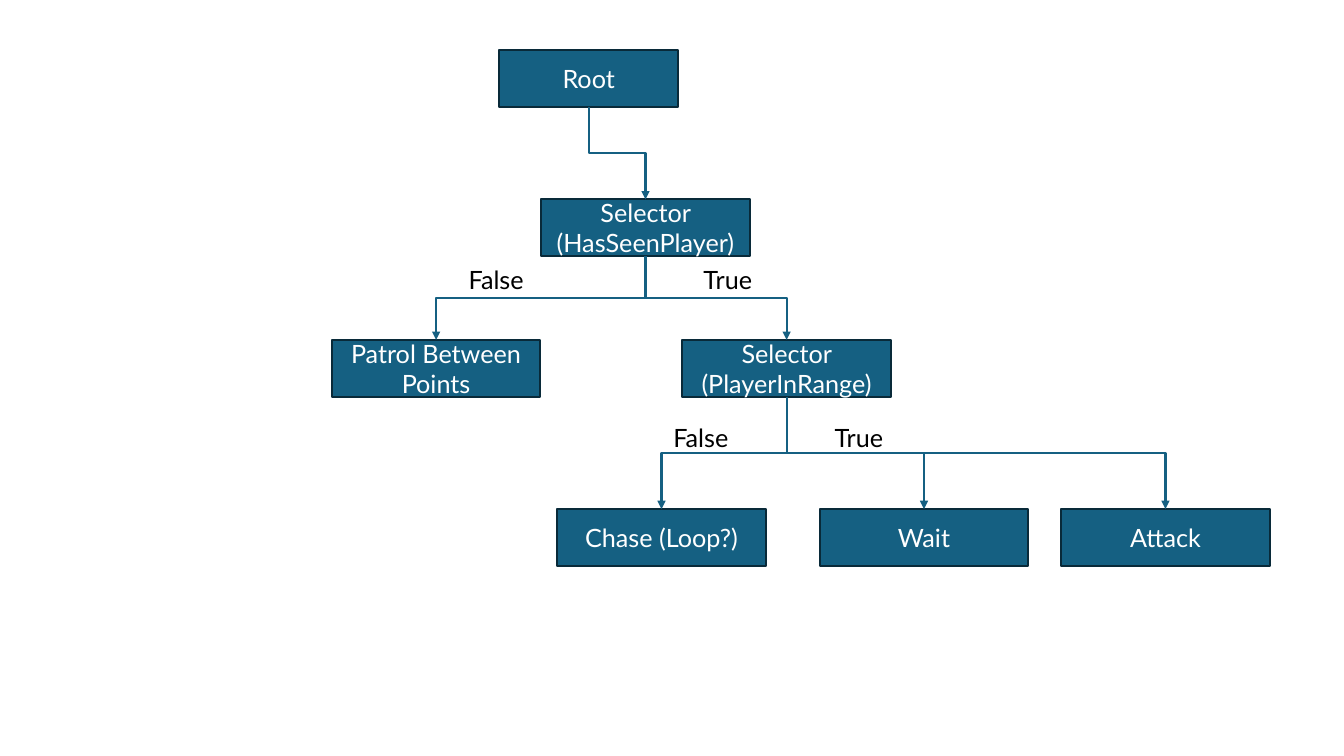
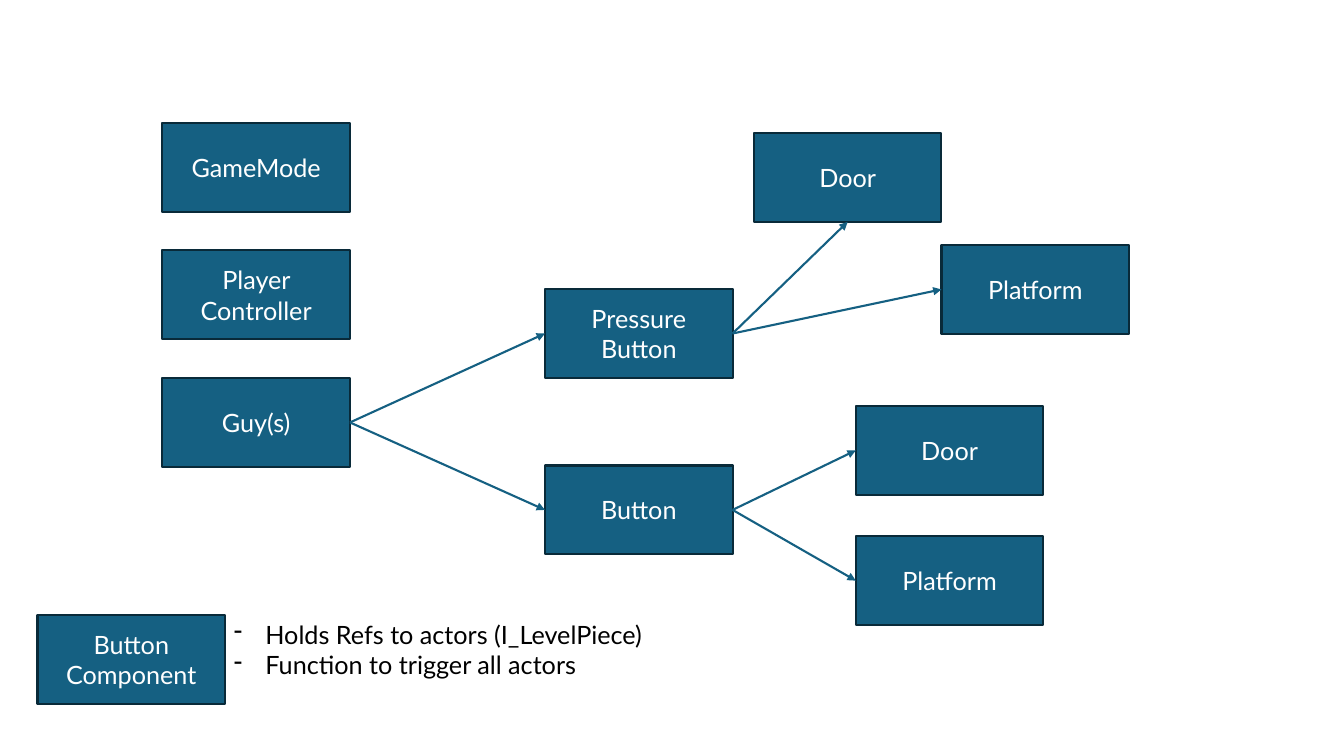
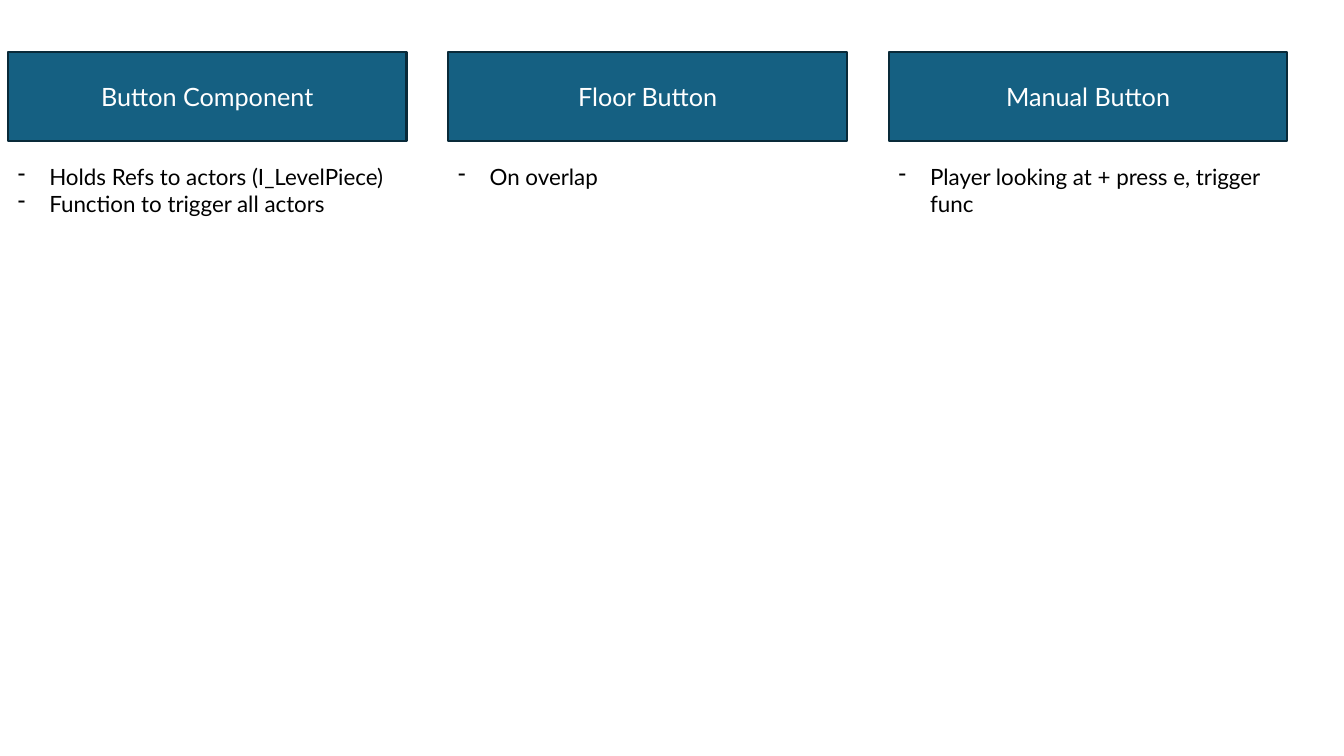
from lxml.etree import SubElement
from pptx import Presentation
from pptx.dml.color import RGBColor
from pptx.enum.shapes import MSO_CONNECTOR, MSO_SHAPE
from pptx.enum.text import MSO_ANCHOR, MSO_AUTO_SIZE, PP_ALIGN
from pptx.oxml.ns import qn
from pptx.util import Pt

COLORS = {"box": "156082", "edge": "092A39", "light": "FFFFFF", "text": "000000"}
FONT = "Lato"
BODY_SIZE = 18
LIST_SIZE = 16
LINE_WIDTH = 1.5
BULLET_INDENT = 22.5
BOX_HEIGHT = 63.5
TOP, LEFT, BOTTOM, RIGHT = range(4)

# Behaviour tree: key -> (text, left, top, width)
TREE_HEIGHT = 40.5
NODE_WIDTH = 149
LEAF_TOP = 363.6
TREE_NODES = {
    "root": ("Root", 356.4, 35.8, 128.2),
    "seen": ("Selector (HasSeenPlayer)", 386.6, 142.4, NODE_WIDTH),
    "patrol": ("Patrol Between Points", 237, 242.8, NODE_WIDTH),
    "range": ("Selector (PlayerInRange)", 487.4, 242.8, NODE_WIDTH),
    "chase": ("Chase (Loop?)", 398, LEAF_TOP, NODE_WIDTH),
    "wait": ("Wait", 585.5, LEAF_TOP, NODE_WIDTH),
    "attack": ("Attack", 758, LEAF_TOP, NODE_WIDTH),
}
TREE_LINKS = [("root", "seen"), ("seen", "patrol"), ("seen", "range"),
              ("range", "chase"), ("range", "wait"), ("range", "attack")]
LABEL_SIZE = (58.3, 29)
BRANCH_LABELS = [("False", 327.6, 185), ("True", 495.4, 185),
                 ("False", 473.8, 298), ("True", 589, 298)]

# Actor map: key -> (text, left, top)
ACTOR_WIDTH = 134
PLAYER_COLUMN = ["GameMode", "Player Controller", "Guy(s)"]
PLAYER_LEFT, PLAYER_TOP, PLAYER_PITCH = 116, 87.8, 91.1
ACTORS = {
    "pressure": ("Pressure Button", 389.3, 206.5),
    "button": ("Button", 389.3, 332.5),
    "upper door": ("Door", 538.5, 95),
    "upper platform": ("Platform", 672.5, 175),
    "lower door": ("Door", 611.3, 290),
    "lower platform": ("Platform", 611.3, 383),
    "component": ("Button Component", 26.8, 439.2),
}
ACTOR_LINKS = [("Guy(s)", "pressure", LEFT), ("Guy(s)", "button", LEFT),
               ("pressure", "upper door", BOTTOM), ("pressure", "upper platform", LEFT),
               ("button", "lower door", LEFT), ("button", "lower platform", LEFT)]

# Component columns
COMPONENT_DUTIES = ["Holds Refs to actors (I_LevelPiece)", "Function to trigger all actors"]
COLUMNS = [("Button Component", COMPONENT_DUTIES),
           ("Floor Button", ["On overlap"]),
           ("Manual Button", ["Player looking at + press e, trigger func"])]
COLUMN_LEFT, COLUMN_PITCH, COLUMN_WIDTH = 5.6, 314.6, 284.8
HEADING_TOP, LIST_TOP = 37.4, 113


def color(name):
    return RGBColor.from_string(COLORS[name])


def style_para(para, text, size, color_name):
    para.text = text
    para.font.name = FONT
    para.font.size = Pt(size)
    para.font.color.rgb = color(color_name)


def add_box(page, text, left, top, width, height=BOX_HEIGHT):
    box = page.shapes.add_shape(MSO_SHAPE.RECTANGLE, Pt(left), Pt(top), Pt(width), Pt(height))
    box.shadow.inherit = False
    box.fill.solid()
    box.fill.fore_color.rgb = color("box")
    box.line.color.rgb = color("edge")
    box.line.width = Pt(LINE_WIDTH)
    frame = box.text_frame
    frame.word_wrap = True
    frame.vertical_anchor = MSO_ANCHOR.MIDDLE
    style_para(frame.paragraphs[0], text, BODY_SIZE, "light")
    frame.paragraphs[0].alignment = PP_ALIGN.CENTER
    return box


def add_text(page, lines, left, top, width, height, size=BODY_SIZE, bulleted=False):
    frame = page.shapes.add_textbox(Pt(left), Pt(top), Pt(width), Pt(height)).text_frame
    frame.word_wrap = True
    frame.auto_size = MSO_AUTO_SIZE.SHAPE_TO_FIT_TEXT
    for index, line in enumerate(lines):
        para = frame.add_paragraph() if index else frame.paragraphs[0]
        style_para(para, line, size, "text")
        if bulleted:
            properties = para._p.get_or_add_pPr()
            properties.set("marL", str(Pt(BULLET_INDENT)))
            properties.set("indent", str(-Pt(BULLET_INDENT)))
            bullet = properties.makeelement(qn("a:buChar"), {"char": "-"})
            properties.insert(0, bullet)


def add_arrow(page, kind, source, source_side, target, target_side):
    arrow = page.shapes.add_connector(kind, 0, 0, 0, 0)
    arrow.begin_connect(source, source_side)
    arrow.end_connect(target, target_side)
    arrow.line.color.rgb = color("box")
    arrow.line.width = Pt(LINE_WIDTH)
    properties = arrow._element.spPr
    SubElement(properties.find(qn("a:ln")), qn("a:tailEnd"), type="triangle")
    SubElement(properties, qn("a:effectLst"))
    return arrow


def add_branch(page, parent, child):
    """Elbow arrow that leaves downwards: a turned frame, mirrored when it goes right."""
    arrow = add_arrow(page, MSO_CONNECTOR.ELBOW, parent, BOTTOM, child, TOP)
    start_x, start_y = parent.left + parent.width // 2, parent.top + parent.height
    end_x, end_y = child.left + child.width // 2, child.top
    goes_right = end_x > start_x
    arrow.width, arrow.height = end_y - start_y, abs(end_x - start_x)
    arrow.left = (start_x + end_x - arrow.width) // 2
    arrow.top = (start_y + end_y - arrow.height) // 2
    frame = arrow._element.spPr.find(qn("a:xfrm"))
    frame.set("rot", str((270 if goes_right else 90) * 60000))
    frame.set("flipH", "1" if goes_right else "0")
    frame.set("flipV", "0")


def build_tree(page):
    nodes = {key: add_box(page, *node, TREE_HEIGHT) for key, node in TREE_NODES.items()}
    for parent, child in TREE_LINKS:
        add_branch(page, nodes[parent], nodes[child])
    for text, left, top in BRANCH_LABELS:
        add_text(page, [text], left, top, *LABEL_SIZE)


def build_actor_map(page):
    players = {text: (text, PLAYER_LEFT, PLAYER_TOP + row * PLAYER_PITCH)
               for row, text in enumerate(PLAYER_COLUMN)}
    boxes = {key: add_box(page, *actor, ACTOR_WIDTH)
             for key, actor in {**players, **ACTORS}.items()}
    for source, target, side in ACTOR_LINKS:
        add_arrow(page, MSO_CONNECTOR.STRAIGHT, boxes[source], RIGHT, boxes[target], side)
    add_text(page, COMPONENT_DUTIES, 160, 438.5, 327.6, 51, bulleted=True)


def build_columns(page):
    for index, (heading, duties) in enumerate(COLUMNS):
        left = COLUMN_LEFT + index * COLUMN_PITCH
        add_box(page, heading, left, HEADING_TOP, COLUMN_WIDTH)
        add_text(page, duties, left, LIST_TOP, COLUMN_WIDTH, 46, LIST_SIZE, bulleted=True)


def main():
    deck = Presentation()
    deck.slide_width, deck.slide_height = Pt(960), Pt(540)
    for build in (build_tree, build_actor_map, build_columns):
        build(deck.slides.add_slide(deck.slide_layouts[6]))
    deck.save("out.pptx")


if __name__ == "__main__":
    main()
